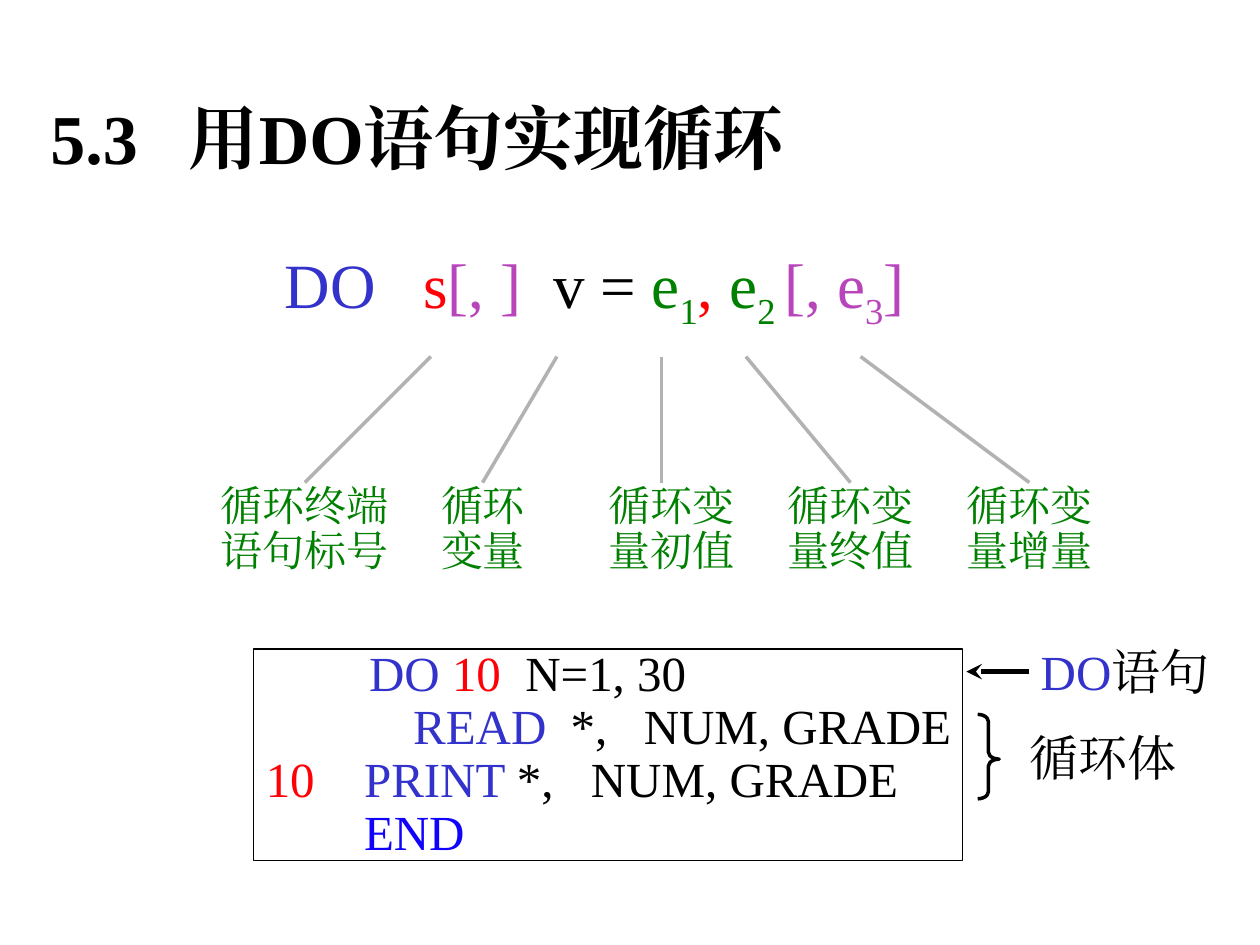
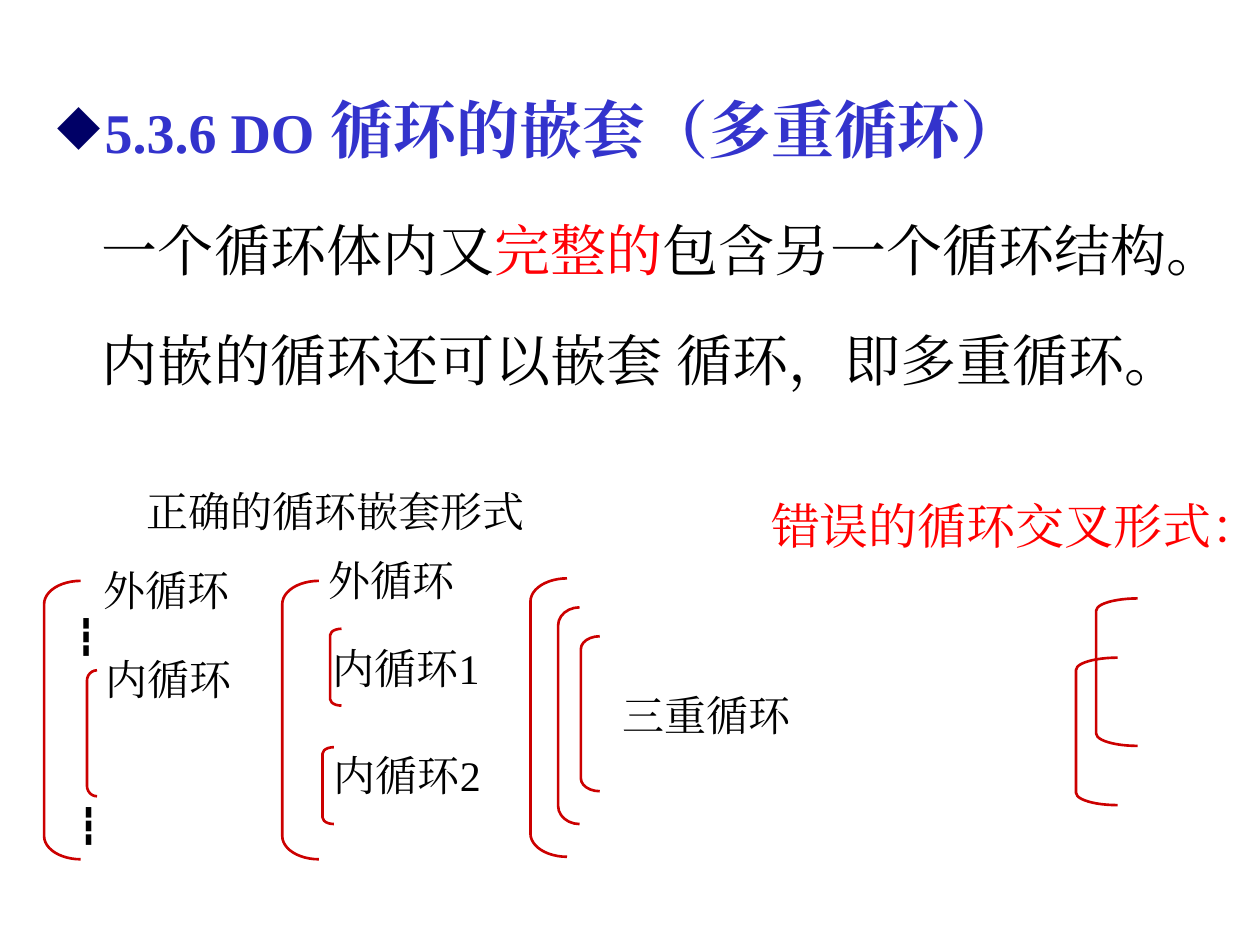
"""Builds two slides on Fortran DO loops: statement syntax and nesting."""
import dataclasses
import typing

import lxml.etree
import pptx
import pptx.dml.color
import pptx.enum.shapes
import pptx.enum.text
import pptx.oxml.ns
import pptx.util

PX = 9144
FONT = "Times New Roman"
COLOURS = {
    "black": "000000", "blue": "3333CC", "end": "0F03FD", "red": "FF0006",
    "violet": "B845BB", "green": "008000", "grey": "B2B2B2",
    "wrong": "FF0000", "bracket": "CC0000", "bullet": "000066",
}
Shapes = pptx.enum.shapes.MSO_SHAPE
Anchors = pptx.enum.text.MSO_ANCHOR


@dataclasses.dataclass(frozen=True)
class Area:
    """A rectangle in px."""
    left: int
    top: int
    width: int
    height: int


@dataclasses.dataclass(frozen=True)
class Span:
    """A stretch of text in one format."""
    text: str
    colour: str = "black"
    size: int = 0
    lowered: bool = False


@dataclasses.dataclass(frozen=True)
class Line:
    """A paragraph with its tab stops and hanging indent in px."""
    spans: tuple[Span, ...]
    tabs: tuple[int, ...] = ()
    hanging: int = 0
    bullet: str = ""


@dataclasses.dataclass(frozen=True)
class Style:
    """The look shared by the paragraphs of a text."""
    size: int
    bold: bool = False
    spacing: float = 0.9
    before: int = 0
    after: int = 0
    anchor: typing.Any = Anchors.MIDDLE


@dataclasses.dataclass(frozen=True)
class Part:
    """A part of the DO statement with its pointer from formula to label."""
    text: str
    left: int
    width: int
    start: int
    end: int


TITLE = Style(40, bold=True, spacing=1.0)
HEADING = Style(32, bold=True)
FORMULA = Style(36)
CODE = Style(28)
LABEL = Style(24)
BODY = Style(32, before=20, after=8)
WARNING = Style(28, spacing=1.0, anchor=Anchors.TOP)
CAPTION = Style(24, spacing=1.0, anchor=Anchors.TOP)
DOTS = Style(20, spacing=1.0, anchor=Anchors.TOP)

PARTS = (
    Part("循环终端语句标号", 175, 135, 342, 242),
    Part("循环变量", 350, 68, 442, 383),
    Part("循环变量初值", 483, 102, 525, 525),
    Part("循环变量终值", 625, 102, 592, 675),
    Part("循环变量增量", 767, 102, 683, 817),
)
BRACKETS = (
    Area(870, 475, 33, 117), Area(854, 522, 33, 117),
    Area(35, 461, 29, 221), Area(69, 532, 8, 100),
    Area(224, 461, 29, 221), Area(262, 499, 9, 61), Area(256, 593, 9, 61),
    Area(421, 459, 29, 221), Area(443, 482, 17, 172), Area(461, 505, 15, 123),
)
CAPTIONS = (
    ("正确的循环嵌套形式", 116, 385, CAPTION),
    ("外循环", 82, 448, CAPTION),
    ("┇", 60, 488, DOTS),
    ("内循环", 84, 519, CAPTION),
    ("┇", 62, 638, DOTS),
    ("外循环", 261, 440, CAPTION),
    ("内循环1", 264, 510, CAPTION),
    ("内循环2", 265, 595, CAPTION),
    ("三重循环", 494, 547, CAPTION),
)


def rgb(name: str) -> pptx.dml.color.RGBColor:
    """Return a named colour."""
    return pptx.dml.color.RGBColor.from_string(COLOURS[name])


def emu(area: Area) -> tuple[int, ...]:
    """Return the sides of an area in EMU."""
    return tuple(side * PX for side in dataclasses.astuple(area))


def add_node(parent, tag: str, **attributes: str):
    """Append a drawing element to its parent."""
    return lxml.etree.SubElement(parent, pptx.oxml.ns.qn("a:" + tag), attributes)


def write_line(para, line: Line, style: Style) -> None:
    """Fill and format one paragraph."""
    first, *others = line.spans
    para.text = first.text
    for span in others:
        para.add_run().text = span.text
    para.alignment = pptx.enum.text.PP_ALIGN.LEFT
    para.line_spacing = style.spacing
    para.space_before = pptx.util.Pt(style.before)
    para.space_after = pptx.util.Pt(style.after)
    properties = para._p.get_or_add_pPr()
    if line.hanging:
        properties.set("marL", str(line.hanging * PX))
        properties.set("indent", str(-line.hanging * PX))
    if line.bullet:
        add_node(add_node(properties, "buClr"), "srgbClr", val=COLOURS["bullet"])
        add_node(properties, "buChar", char=line.bullet)
    if line.tabs:
        stops = add_node(properties, "tabLst")
        for stop in line.tabs:
            add_node(stops, "tab", pos=str(stop * PX), algn="l")
    for run, span in zip(para.runs, line.spans):
        run.font.size = pptx.util.Pt(span.size or style.size)
        run.font.bold = style.bold
        run.font.color.rgb = rgb(span.colour)
        run.font.name = FONT
        run_properties = run._r.get_or_add_rPr()
        add_node(run_properties, "ea", typeface=FONT)
        if span.lowered:
            run_properties.set("baseline", "-25000")


def write_text(box, lines: typing.Sequence[Line], style: Style) -> None:
    """Write paragraphs into a box without margins."""
    frame = box.text_frame
    frame.word_wrap = True
    frame.vertical_anchor = style.anchor
    frame.margin_left = frame.margin_right = 0
    frame.margin_top = frame.margin_bottom = 0
    for index, line in enumerate(lines):
        para = frame.add_paragraph() if index else frame.paragraphs[0]
        write_line(para, line, style)


def add_text(page, area: Area, style: Style, *lines: Line) -> None:
    """Add a text box."""
    write_text(page.shapes.add_textbox(*emu(area)), lines, style)


def add_outline(page, kind, area: Area, colour: str, weight: float):
    """Add an unfilled preset shape."""
    shape = page.shapes.add_shape(kind, *emu(area))
    shape.shadow.inherit = False
    shape.fill.background()
    shape.line.color.rgb = rgb(colour)
    shape.line.width = pptx.util.Pt(weight)
    return shape


def add_bracket(page, area: Area) -> None:
    """Add a loop bracket whose corners take a twelfth of its height."""
    shape = add_outline(page, Shapes.LEFT_BRACKET, area, "bracket", 1.5)
    shape.adjustments[0] = area.height / 12 / min(area.width, area.height)


def add_line(page, start: tuple[int, int], end: tuple[int, int],
             colour: str, weight: float, arrow: bool = False) -> None:
    """Add a straight line, with an arrowhead at its end if asked."""
    kind = pptx.enum.shapes.MSO_CONNECTOR.STRAIGHT
    line = page.shapes.add_connector(kind, *(side * PX for side in start + end))
    line.line.color.rgb = rgb(colour)
    line.line.width = pptx.util.Pt(weight)
    if arrow:
        add_node(line.line._get_or_add_ln(), "tailEnd", type="stealth")
    add_node(line._element.spPr, "effectLst")


def build_syntax(page) -> None:
    """Draw the DO statement, its parts and a sample program."""
    add_text(page, Area(40, 68, 900, 81), TITLE,
             Line((Span("5.3\t用DO语句实现循环"),), tabs=(110,)))
    add_text(page, Area(226, 196, 540, 61), FORMULA, Line((
        Span("DO\t", "blue"), Span("s", "red"), Span("[, ]\t", "violet"),
        Span("v = "), Span("e", "green"), Span("1", "green", lowered=True),
        Span(", ", "red"), Span("e", "green"),
        Span("2 ", "green", lowered=True), Span("[, e", "violet"),
        Span("3", "violet", lowered=True), Span("]", "violet"),
    ), tabs=(110, 213)))
    for part in PARTS:
        add_text(page, Area(part.left, 367, part.width, 108), LABEL,
                 Line((Span(part.text, "green"),)))
        add_line(page, (part.start, 283), (part.end, 383), "grey", 2)
    program = add_outline(page, Shapes.RECTANGLE, Area(201, 515, 563, 168),
                          "black", 0.75)
    write_text(program, (
        Line((Span("\tDO ", "blue"), Span("10\t", "red"), Span("N=1, 30")),
             tabs=(92, 216)),
        Line((Span("\tREAD\t", "blue"), Span("*,\tNUM, GRADE")),
             tabs=(127, 252, 310)),
        Line((Span("\t10\t", "red"), Span("PRINT ", "blue"),
              Span("*,\tNUM, GRADE")), tabs=(10, 88, 268)),
        Line((Span("\tEND", "end"),), tabs=(88,)),
    ), CODE)
    add_text(page, Area(826, 514, 150, 42), CODE,
             Line((Span("DO", "blue"), Span("语句"))))
    add_line(page, (817, 533), (767, 533), "black", 3, arrow=True)
    add_text(page, Area(817, 583, 125, 42), CODE, Line((Span("循环体"),)))
    brace = add_outline(page, Shapes.RIGHT_BRACE, Area(776, 567, 17, 67),
                        "black", 2)
    brace.adjustments[0] = 0.33
    brace.adjustments[1] = 0.53


def build_nesting(page) -> None:
    """Draw the rules of nesting with right and wrong forms."""
    add_text(page, Area(46, 79, 850, 54), HEADING, Line((
        Span("5.3.6 DO", "blue"),
        Span(" 循环的嵌套（多重循环）", "blue", size=36),
    ), hanging=37, bullet="◆"))
    add_text(page, Area(81, 177, 900, 135), BODY,
             Line((Span("一个循环体内又"), Span("完整的", "red"),
                   Span("包含另一个循环结构。"))),
             Line((Span("内嵌的循环还可以嵌套 循环，即多重循环。"),)))
    add_text(page, Area(612, 393, 366, 94), WARNING,
             Line((Span("错误的循环交叉形式：", "wrong"),), hanging=50))
    for bracket in BRACKETS:
        add_bracket(page, bracket)
    for text, left, top, style in CAPTIONS:
        add_text(page, Area(left, top, 36 * len(text) + 10, 40), style,
                 Line((Span(text),)))


def main() -> None:
    """Build and save the deck."""
    deck = pptx.Presentation()
    deck.slide_width = 1000 * PX
    deck.slide_height = 750 * PX
    for build in (build_syntax, build_nesting):
        build(deck.slides.add_slide(deck.slide_layouts[6]))
    deck.save("out.pptx")


if __name__ == "__main__":
    main()
